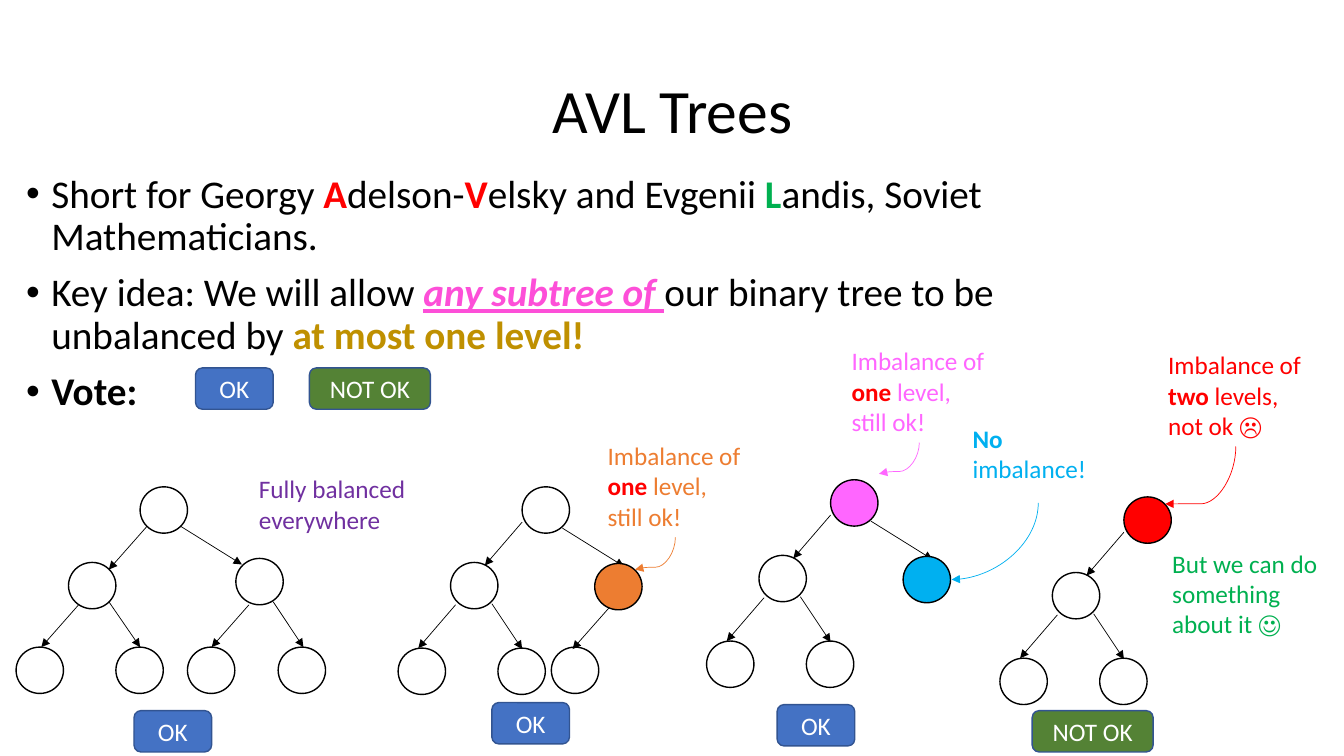
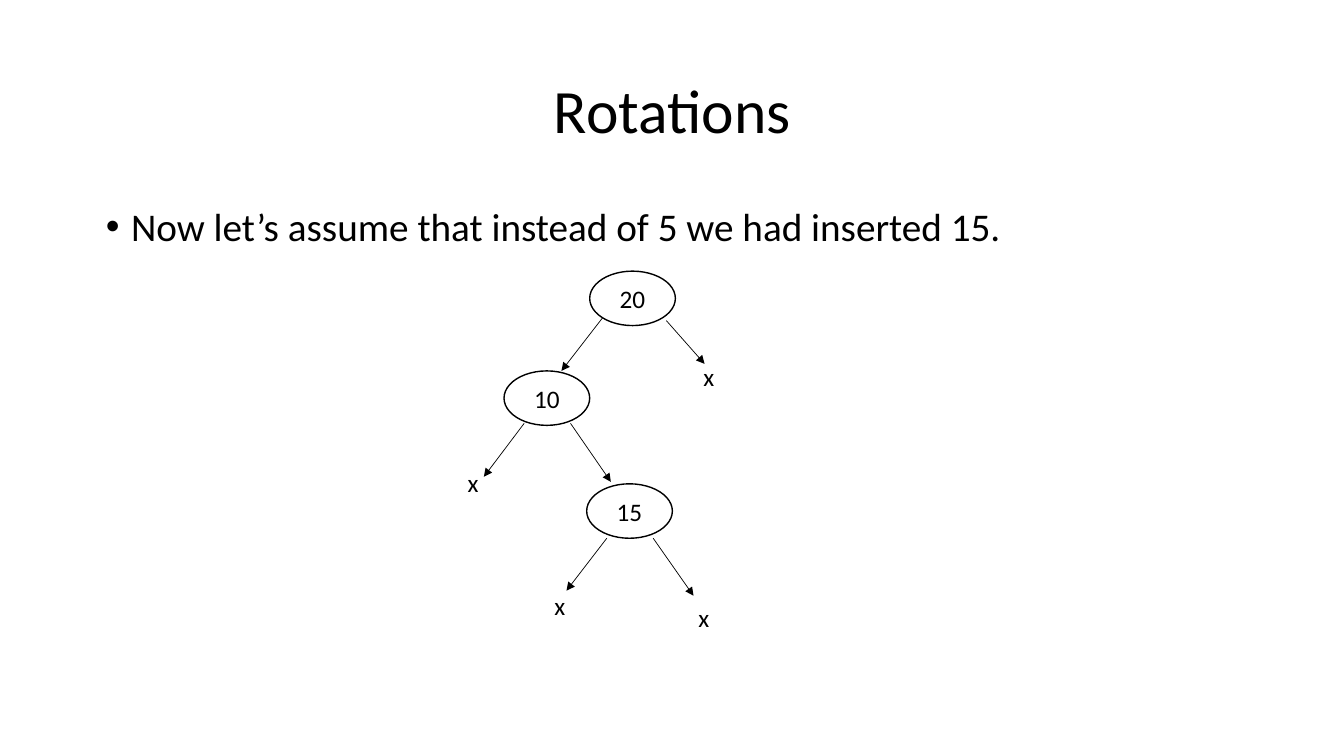
"""Build two slides on AVL trees and rotations."""
from dataclasses import dataclass
from typing import NamedTuple, Optional

from lxml.etree import SubElement
from pptx import Presentation
from pptx.dml.color import RGBColor
from pptx.enum.shapes import MSO_CONNECTOR as Conn, MSO_SHAPE as Shape
from pptx.enum.text import MSO_ANCHOR as Anchor, MSO_AUTO_SIZE as Fit, PP_ALIGN as Align
from pptx.oxml.ns import qn
from pptx.util import Inches, Pt

COLORS = {
    "black": "000000", "white": "FFFFFF", "red": "FF0000", "green": "00B050",
    "magenta": "FD4FD8", "gold": "BF9000", "purple": "7030A0", "orange": "ED7D31",
    "pink": "FF66FF", "sky": "00B0F0", "ok": "4472C4", "not_ok": "548235", "border": "325491",
}
FONT = "Calibri"
CELL = Inches(0.1)
COLS, ROWS = 133.33, 75


class Point(NamedTuple):
    col: float
    row: float

    def plus(self, other: "Point") -> "Point":
        return Point(self.col + other.col, self.row + other.row)


class Run(NamedTuple):
    text: str
    color: str = "black"
    bold: bool = False
    emphasis: bool = False


class Branch(NamedTuple):
    node: Point
    start: Point
    end: Point
    fill: Optional[str] = None
    label: str = ""


@dataclass
class Tree:
    root: Point
    branches: list[Branch]
    fill: Optional[str] = None
    label: str = ""


@dataclass
class Note:
    at: Point
    width: float
    height: float
    runs: list[Run]


@dataclass
class Pill:
    at: Point
    ok: bool


@dataclass
class Curve:
    start: Point
    end: Point
    color: str
    bend: Optional[int] = None


def rgb(name: str) -> RGBColor:
    return RGBColor.from_string(COLORS[name])


def box(at: Point, width: float, height: float) -> list[int]:
    return [round(v * CELL) for v in (*at, width, height)]


def branch(nc, nr, sc, sr, ec, er, fill=None, label="") -> Branch:
    return Branch(Point(nc, nr), Point(sc, sr), Point(ec, er), fill, label)


def style(p, size: float, color: str = "black") -> None:
    p.font.name, p.font.size = FONT, Pt(size)
    p.font.color.rgb = rgb(color)


def add_runs(p, runs: list[Run], size: float) -> None:
    style(p, size, runs[0].color)
    for run in runs:
        r = p.add_run()
        r.text = run.text
        r.font.color.rgb = rgb(run.color)
        if run.bold:
            r.font.bold = True
        if run.emphasis:
            r.font.italic = r.font.underline = True


def add_slide(prs, title: str, body_at: Point, bullets: list[list[Run]]):
    s = prs.slides.add_slide(prs.slide_layouts[1])
    head, body = s.placeholders
    head.left, head.top, head.width, head.height = box(Point(9.2, 4), 115, 14.5)
    body.left, body.top, body.width, body.height = box(body_at, 115, 47.6)
    head.text_frame.text = title
    head.text_frame.vertical_anchor = Anchor.MIDDLE
    p = head.text_frame.paragraphs[0]
    p.alignment, p.line_spacing = Align.CENTER, 0.9
    style(p, 44)
    tf = body.text_frame
    for i, runs in enumerate(bullets):
        p = tf.add_paragraph() if i else tf.paragraphs[0]
        p.line_spacing, p.space_before = 0.9, Pt(10 if i else 0)
        pPr = p._p.get_or_add_pPr()
        pPr.set("marL", str(Inches(0.25)))
        pPr.set("indent", str(-Inches(0.25)))
        add_runs(p, runs, 28)
    for sp in (head, body):
        sp.text_frame.auto_size = Fit.NONE
    return s


def add_figure(s, kind, area: list[int], fill, line: str, label: str, color: str) -> None:
    sp = s.shapes.add_shape(kind, *area)
    sp.shadow.inherit = False
    if fill:
        sp.fill.solid()
        sp.fill.fore_color.rgb = rgb(fill)
    else:
        sp.fill.background()
    sp.line.color.rgb, sp.line.width = rgb(line), Pt(1)
    if label:
        tf = sp.text_frame
        tf.text, tf.vertical_anchor = label, Anchor.MIDDLE
        p = tf.paragraphs[0]
        p.alignment = Align.CENTER
        style(p, 18, color)


def add_pill(s, pill: Pill) -> None:
    label, fill, width = ("OK", "ok", 7.7) if pill.ok else ("NOT OK", "not_ok", 12)
    add_figure(s, Shape.ROUNDED_RECTANGLE, box(pill.at, width, 4.1), fill, "border", label, "white")


def add_note(s, note: Note) -> None:
    tf = s.shapes.add_textbox(*box(note.at, note.width, note.height)).text_frame
    tf.word_wrap, tf.auto_size = True, Fit.SHAPE_TO_FIT_TEXT
    add_runs(tf.paragraphs[0], note.runs, 18)


def add_arrow(s, kind, start: Point, end: Point, color: str = "black"):
    c = s.shapes.add_connector(kind, *[round(v * CELL) for v in (*start, *end)])
    c.line.color.rgb, c.line.width = rgb(color), Pt(0.5)
    SubElement(c.line._get_or_add_ln(), qn("a:tailEnd"), type="triangle")
    SubElement(c._element.spPr, qn("a:effectLst"))
    return c


def add_curve(s, curve: Curve) -> None:
    """Draw a curve that leaves downwards, as a connector turned by 90 degrees."""
    (c0, r0), (c1, r1) = curve.start, curve.end
    mid = Point((c0 + c1) / 2, (r0 + r1) / 2)
    half = Point((r1 - r0) / 2, (c0 - c1) / 2)
    c = add_arrow(s, Conn.CURVE, mid.plus(Point(-half.col, -half.row)), mid.plus(half), curve.color)
    spPr = c._element.spPr
    spPr.find(qn("a:xfrm")).set("rot", str(90 * 60000))
    geom = spPr.find(qn("a:prstGeom"))
    if curve.bend is None:
        geom.set("prst", "curvedConnector2")
    else:
        guides = geom.find(qn("a:avLst"))
        if guides is None:
            guides = SubElement(geom, qn("a:avLst"))
        SubElement(guides, qn("a:gd"), name="adj1", fmla=f"val {curve.bend}")


def add_tree(s, tree: Tree, width: float, height: float) -> None:
    for b in tree.branches:
        add_arrow(s, Conn.STRAIGHT, tree.root.plus(b.start), tree.root.plus(b.end))
    root = Branch(Point(0, 0), Point(0, 0), Point(0, 0), tree.fill, tree.label)
    for b in (root, *tree.branches):
        at = tree.root.plus(b.node)
        if b.label == "x":
            add_note(s, Note(at, 3.1, 4, [Run("x")]))
        else:
            add_figure(s, Shape.OVAL, box(at, width, height), b.fill, "black", b.label, "black")


LEFT_SIDE = [
    branch(-7.1, 7.5, 0, 3.5, -3.7, 7.8),
    branch(-12.3, 16, -6.6, 11.7, -10.3, 16),
    branch(-2.4, 16, -3, 11.6, 0, 16.1),
]


def right_child(fill: str) -> Branch:
    return branch(7.2, 7.6, 4, 4.1, 10.1, 7.9, fill)


AVL_TREES = [
    Tree(Point(13.9, 48.3), [
        branch(-7.1, 7.5, 0.7, 3.9, -3.1, 8.2),
        branch(-12.3, 15.9, -6.1, 11.7, -9.8, 15.9),
        branch(-2.4, 15.9, -3.1, 11.4, 0, 15.9),
        branch(9.5, 7.1, 4, 3.9, 10.1, 7.7),
        branch(4.7, 15.9, 10.8, 11.7, 7.1, 15.9),
        branch(13.7, 15.9, 13.2, 11.4, 16.2, 15.9),
    ]),
    Tree(Point(51.8, 48.3), [
        *LEFT_SIDE, right_child("orange"), branch(2.9, 15.9, 8.8, 11.8, 5, 16.1)]),
    Tree(Point(82.4, 47.6), [*LEFT_SIDE, right_child("sky")], "pink"),
    Tree(Point(111.5, 49.3), LEFT_SIDE, "red"),
]

ROTATION_TREE = Tree(Point(58.5, 26.9), [
    branch(-8.5, 9.9, 1.3, 4.6, -2.8, 9.9, label="10"),
    branch(10.3, 8.5, 7.6, 4.9, 11.4, 9.2, label="x"),
    branch(-13.1, 19, -6.5, 15.1, -10.5, 20.4, label="x"),
    branch(-0.3, 21.1, -1.9, 15.1, 2.1, 20.9, label="15"),
    branch(-4.5, 31.2, 1.7, 26.5, -2.3, 31.7, label="x"),
    branch(9.8, 32.4, 6.3, 26.5, 10.3, 32.2, label="x"),
], label="20")


def imbalance(at: Point, color: str, count: str, rest: str) -> Note:
    return Note(at, 15.4, 10.1, [Run("Imbalance of ", color), Run(count, "red", True), Run(rest, color)])


NOTES = [
    Note(Point(24.7, 46.5), 19.2, 7.1, [Run("Fully balanced everywhere", "purple")]),
    imbalance(Point(59.3, 43.2), "orange", "one", " level, still ok!"),
    imbalance(Point(83.5, 33.8), "pink", "one", " level, still ok!"),
    imbalance(Point(114.9, 34.2), "red", "two", " levels, not ok ☹"),
    Note(Point(115.3, 53.9), 16.8, 10.1, [Run("But we can do something about it ☺", "green")]),
    Note(Point(95.5, 41.5), 15.4, 7.1, [Run("No ", "sky", True), Run("imbalance!", "sky")]),
]

CURVES = [
    Curve(Point(67, 53.3), Point(63, 56.5), "orange", 93000),
    Curve(Point(91.2, 43.9), Point(87.2, 47), "pink", 93000),
    Curve(Point(103, 49.9), Point(94.4, 57.5), "sky"),
    Curve(Point(122.6, 44.3), Point(115.6, 50), "red", 99800),
]

PILLS = [
    Pill(Point(19.4, 36.5), True), Pill(Point(30.7, 36.5), False),
    Pill(Point(13.3, 70.5), True), Pill(Point(48.8, 69.7), True),
    Pill(Point(77.1, 69.9), True), Pill(Point(102.4, 70.5), False),
]

AVL_BULLETS = [
    [Run("Short for Georgy "), Run("A", "red", True), Run("delson-"), Run("V", "red", True),
     Run("elsky and Evgenii "), Run("L", "green", True), Run("andis, Soviet Mathematicians.")],
    [Run("Key idea: We will allow "), Run("any subtree of ", "magenta", True, True),
     Run("our binary tree to be unbalanced by "), Run("at most one level!", "gold", True)],
    [Run("Vote:", bold=True)],
]


def main() -> None:
    prs = Presentation()
    prs.slide_width, prs.slide_height = round(COLS * CELL), ROWS * CELL

    s = add_slide(prs, "AVL Trees", Point(1.6, 16.8), AVL_BULLETS)
    for tree in AVL_TREES:
        add_tree(s, tree, 4.7, 4.6)
    for pill in PILLS:
        add_pill(s, pill)
    for note in NOTES:
        add_note(s, note)
    for curve in CURVES:
        add_curve(s, curve)

    s = add_slide(prs, "Rotations", Point(9.5, 20.1),
                  [[Run("Now let’s assume that instead of 5 we had inserted 15.")]])
    add_tree(s, ROTATION_TREE, 8.5, 5.4)
    prs.save("out.pptx")


if __name__ == "__main__":
    main()
